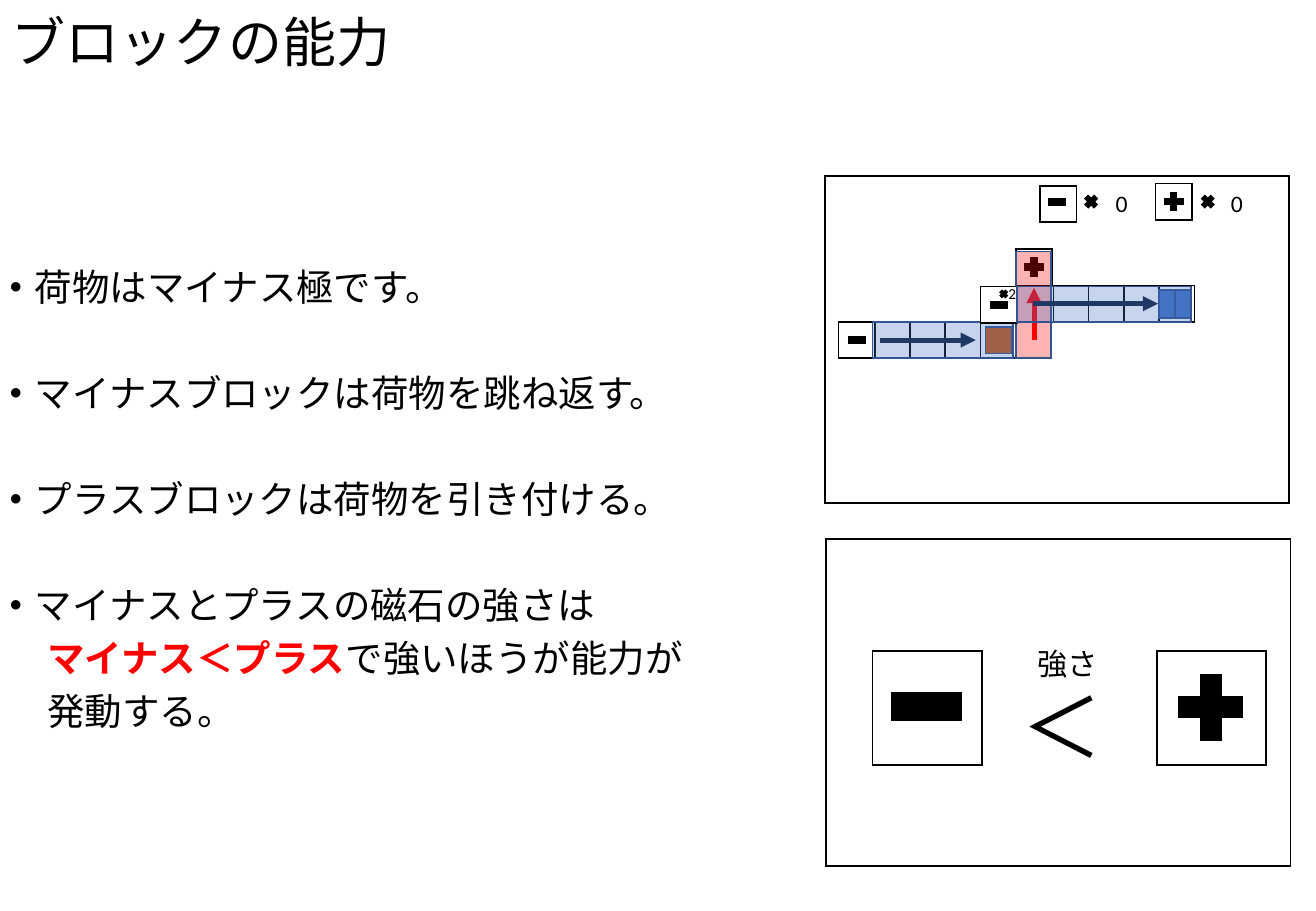
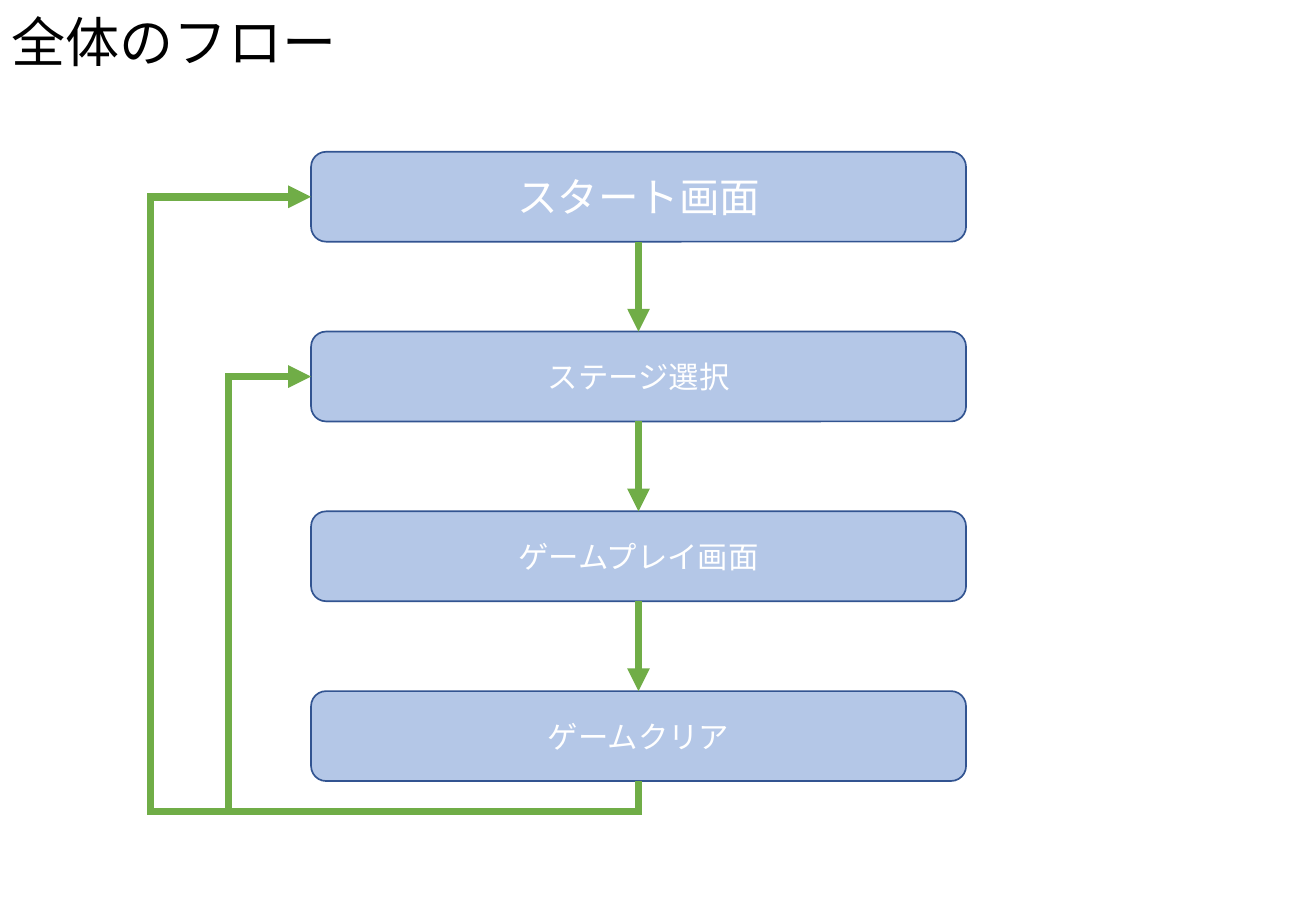
from lxml import etree
from pptx import Presentation
from pptx.dml.color import RGBColor
from pptx.enum.shapes import MSO_CONNECTOR as Connector, MSO_SHAPE as Shape
from pptx.enum.text import MSO_ANCHOR as Anchor, PP_ALIGN as Align
from pptx.oxml.ns import qn
from pptx.util import Inches, Pt

BLACK, WHITE, RED = "000000", "FFFFFF", "FF0000"
BLUE, PALE_BLUE, NAVY, OUTLINE = "4472C4", "B4C7E7", "203864", "325491"
BROWN, GREEN = "C55A11", "70AD47"
color = RGBColor.from_string


def add_block(slide, kind, left, top, width, height, fill=WHITE, line=BLACK, alpha=None):
    shape = slide.shapes.add_shape(kind, Inches(left), Inches(top), Inches(width), Inches(height))
    shape.shadow.inherit = False
    shape.fill.solid()
    shape.fill.fore_color.rgb = color(fill)
    shape.line.color.rgb = color(line)
    shape.line.width = Pt(1)
    etree.SubElement(shape.element.spPr.find(qn("a:ln")), qn("a:miter")).set("lim", "800000")
    if alpha:
        fill_color = shape.element.spPr.find(qn("a:solidFill"))[0]
        etree.SubElement(fill_color, qn("a:alpha")).set("val", str(alpha * 1000))
    return shape


def add_arrow(slide, kind, start, end, line, width):
    arrow = slide.shapes.add_connector(kind, *[Inches(value) for value in (*start, *end)])
    arrow.line.color.rgb = color(line)
    arrow.line.width = Pt(width)
    properties = arrow.element.spPr
    outline = properties.find(qn("a:ln"))
    etree.SubElement(outline, qn("a:miter")).set("lim", "800000")
    etree.SubElement(outline, qn("a:tailEnd")).set("type", "triangle")
    etree.SubElement(properties, qn("a:effectLst"))
    return arrow


presentation = Presentation()
presentation.slide_width = Inches(10.83)
presentation.slide_height = Inches(7.5)
blank = presentation.slide_layouts[6]
ability_slide = presentation.slides.add_slide(blank)
flow_slide = presentation.slides.add_slide(blank)
runs = []

TILE = 0.3
add_block(ability_slide, Shape.RECTANGLE, 6.79, 1.45, 3.82, 2.69)
for first, pitch, count, top in [(6.9, 0.29, 6, 2.65), (8.37, 0.29, 5, 2.35)]:
    for column in reversed(range(count)):
        add_block(ability_slide, Shape.RECTANGLE, first + column * pitch, top, TILE, TILE)
for left in (9.54, 9.67):
    add_block(ability_slide, Shape.RECTANGLE, left, 2.39, 0.13, 0.23, BLUE, OUTLINE)
add_block(ability_slide, Shape.RECTANGLE, 8.11, 2.69, 0.22, 0.22, BROWN, OUTLINE)
for left, top in [(8.56, 1.53), (9.51, 1.51), (8.36, 2.05)]:
    add_block(ability_slide, Shape.RECTANGLE, left, top, TILE, TILE)
for left, top in [(8.61, 1.55), (6.96, 2.69)]:
    add_block(ability_slide, Shape.MATH_MINUS, left, top, 0.18, 0.22, BLACK)
for left, top in [(9.56, 1.56), (8.41, 2.1)]:
    add_block(ability_slide, Shape.MATH_PLUS, left, top, 0.2, 0.2, BLACK)
for left in (8.91, 9.87):
    add_block(ability_slide, Shape.MATH_MULTIPLY, left, 1.59, 0.14, 0.14, BLACK)
add_block(ability_slide, Shape.RECTANGLE, 7.18, 2.65, 1.16, 0.3, BLUE, OUTLINE, 30)
add_arrow(ability_slide, Connector.STRAIGHT, (7.24, 2.8), (8.03, 2.8), NAVY, 3)
add_block(ability_slide, Shape.RECTANGLE, 8.36, 2.07, 0.29, 0.88, RED, OUTLINE, 30)
add_arrow(ability_slide, Connector.STRAIGHT, (8.51, 2.8), (8.51, 2.37), RED, 3)
add_block(ability_slide, Shape.RECTANGLE, 8.07, 2.36, TILE, TILE)
add_block(ability_slide, Shape.MATH_MINUS, 8.13, 2.4, 0.18, 0.22, BLACK)
add_block(ability_slide, Shape.RECTANGLE, 8.37, 2.36, 1.43, 0.29, BLUE, OUTLINE, 30)
add_arrow(ability_slide, Connector.STRAIGHT, (8.5, 2.5), (9.53, 2.5), NAVY, 3)
add_block(ability_slide, Shape.MATH_MULTIPLY, 8.22, 2.38, 0.08, 0.08, BLACK)

add_block(ability_slide, Shape.RECTANGLE, 6.8, 4.44, 3.82, 2.69)
for left in (7.18, 9.52):
    add_block(ability_slide, Shape.RECTANGLE, left, 5.36, 0.9, 0.94)
add_block(ability_slide, Shape.MATH_MINUS, 7.24, 5.34, 0.77, 0.96, BLACK)
add_block(ability_slide, Shape.MATH_PLUS, 9.61, 5.46, 0.71, 0.73, BLACK)

labels = [
    (ability_slide, "ブロックの能力", 0, 0, 5.26, 0.74, 32),
    (flow_slide, "全体のフロー", 0, 0, 5.26, 0.74, 32),
    (ability_slide, "0", 9.08, 1.51, 0.3, 0.34, 14),
    (ability_slide, "0", 10.03, 1.51, 0.3, 0.34, 14),
    (ability_slide, "2", 8.18, 2.29, 0.3, 0.25, 9),
    (ability_slide, "強さ", 8.3, 5.26, 0.97, 0.4, 18),
    (ability_slide, "＜", 8.22, 5.52, 1.04, 0.91, 48),
]
for slide, text, left, top, width, height, size in labels:
    box = slide.shapes.add_textbox(Inches(left), Inches(top), Inches(width), Inches(height))
    frame = box.text_frame
    frame.word_wrap = True
    paragraph = frame.paragraphs[0]
    if size == 32:
        frame.vertical_anchor = Anchor.MIDDLE
        paragraph.line_spacing = 0.9
    else:
        paragraph.alignment = Align.CENTER
    runs.append((paragraph, text, size, BLACK, False))

body = ability_slide.shapes.add_textbox(Inches(-0.02), Inches(2.2), Inches(6.64), Inches(4.04))
body.text_frame.word_wrap = True
body.text_frame.margin_left = 0
body_lines = [
    (0, 0, [("・", BLACK), ("荷物はマイナス極です。", BLACK)]),
    (41.4, 0, [("・", BLACK), ("マイナスブロックは荷物を跳ね返す。", BLACK)]),
    (41.4, 0, [("・", BLACK), ("プラスブロックは荷物を引き付ける。", BLACK)]),
    (41.4, 0, [("・", BLACK), ("マイナスとプラスの磁石の強さは", BLACK)]),
    (10, 0.41, [("マイナス＜プラス", RED), ("で強いほうが能力が", BLACK)]),
    (10, 0.41, [("発動する。", BLACK)]),
]
for index, (space, indent, parts) in enumerate(body_lines):
    paragraph = body.text_frame.add_paragraph() if index else body.text_frame.paragraphs[0]
    paragraph.line_spacing = 0.8
    paragraph.space_before = Pt(space)
    paragraph._p.get_or_add_pPr().set("marL", str(Inches(indent)))
    for text, run_color in parts:
        runs.append((paragraph, text, 22.2, run_color, run_color == RED or text == "・"))

STEP_LEFT, STEP_TOP, STEP_WIDTH, STEP_HEIGHT, STEP_PITCH = 2.56, 1.25, 5.39, 0.74, 1.48
center = STEP_LEFT + STEP_WIDTH / 2
steps = []
for index, text in enumerate(["スタート画面", "ステージ選択", "ゲームプレイ画面", "ゲームクリア"]):
    top = STEP_TOP + index * STEP_PITCH
    step = add_block(flow_slide, Shape.ROUNDED_RECTANGLE, STEP_LEFT, top,
                     STEP_WIDTH, STEP_HEIGHT, PALE_BLUE, OUTLINE)
    step.text_frame.vertical_anchor = Anchor.MIDDLE
    paragraph = step.text_frame.paragraphs[0]
    paragraph.alignment = Align.CENTER
    runs.append((paragraph, text, 18 if index else 24, WHITE, False))
    if steps:
        arrow = add_arrow(flow_slide, Connector.STRAIGHT,
                          (center, top - STEP_PITCH + STEP_HEIGHT), (center, top), GREEN, 4.5)
        arrow.begin_connect(steps[-1], 2)
        arrow.end_connect(step, 0)
    steps.append(step)

start_y = STEP_TOP + 3 * STEP_PITCH + STEP_HEIGHT
reach = center - STEP_LEFT
for index, lane in enumerate([1.24, 1.88]):
    end_y = STEP_TOP + index * STEP_PITCH + STEP_HEIGHT / 2
    rise = start_y - end_y
    arrow = add_arrow(flow_slide, Connector.ELBOW, (center, start_y), (STEP_LEFT, end_y), GREEN, 4.5)
    arrow.begin_connect(steps[3], 2)
    arrow.end_connect(steps[index], 1)
    arrow.left = Inches(STEP_LEFT + reach / 2 - rise / 2)
    arrow.top = Inches((start_y + end_y) / 2 - reach / 2)
    arrow.width, arrow.height = Inches(rise), Inches(reach)
    transform = arrow.element.spPr.find(qn("a:xfrm"))
    for name, value in [("rot", "5400000"), ("flipH", "1"), ("flipV", "0")]:
        transform.set(name, value)
    geometry = arrow.element.spPr.find(qn("a:prstGeom"))
    geometry.set("prst", "bentConnector4")
    adjustments = geometry.find(qn("a:avLst"))
    for name, ratio in [("adj1", -0.25 / rise), ("adj2", (center - lane) / reach)]:
        guide = etree.SubElement(adjustments, qn("a:gd"))
        guide.set("name", name)
        guide.set("fmla", f"val {round(ratio * 100000)}")

for paragraph, text, size, run_color, bold in runs:
    run = paragraph.add_run()
    run.text = text
    run.font.name = "Calibri"
    run.font.size = Pt(size)
    run.font.bold = bold
    run.font.color.rgb = color(run_color)
    properties = run.font._element
    etree.SubElement(properties, qn("a:ea")).set("typeface", "Noto Sans CJK JP")
    if text == "・":
        properties.set("spc", "-700")

presentation.save("out.pptx")
